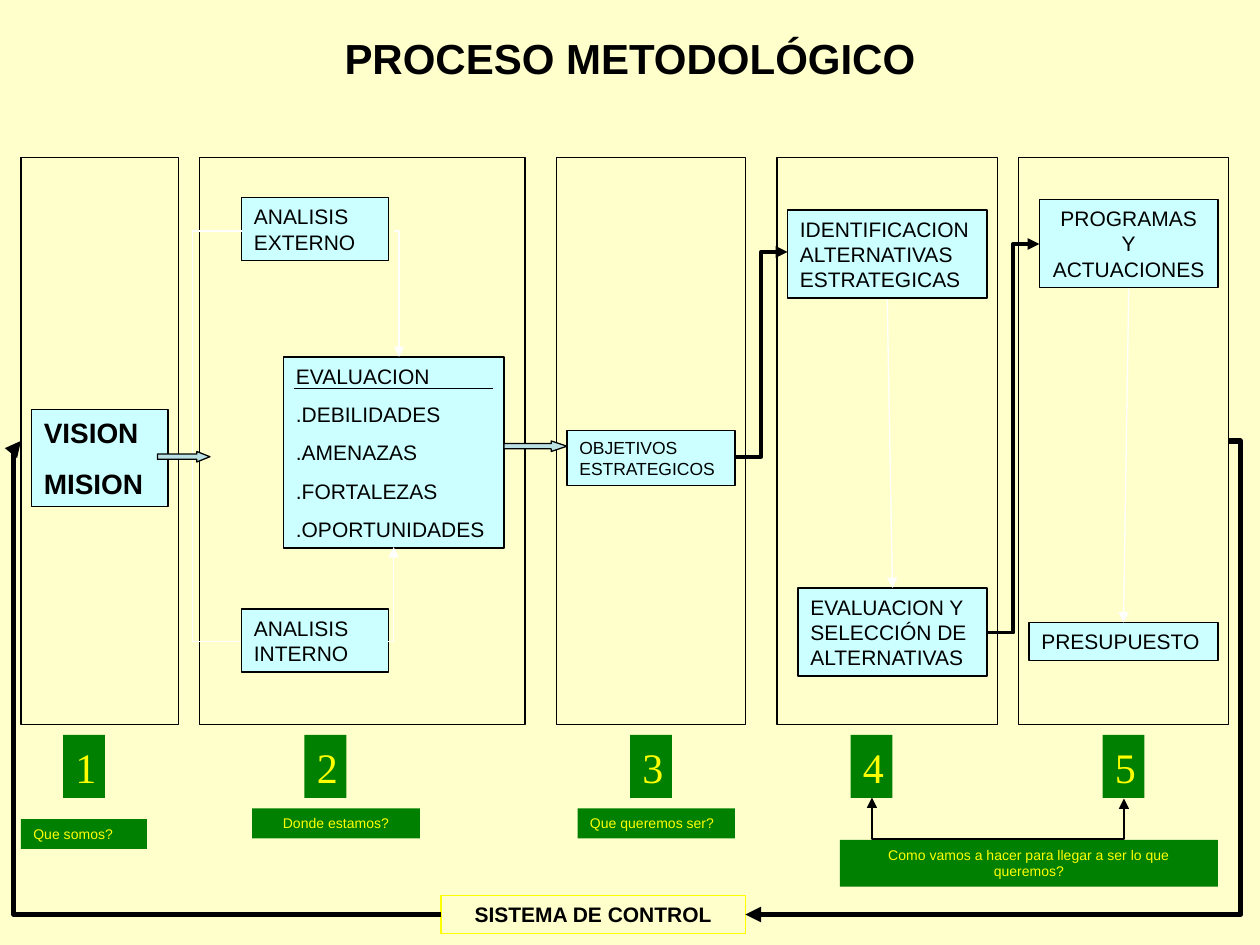
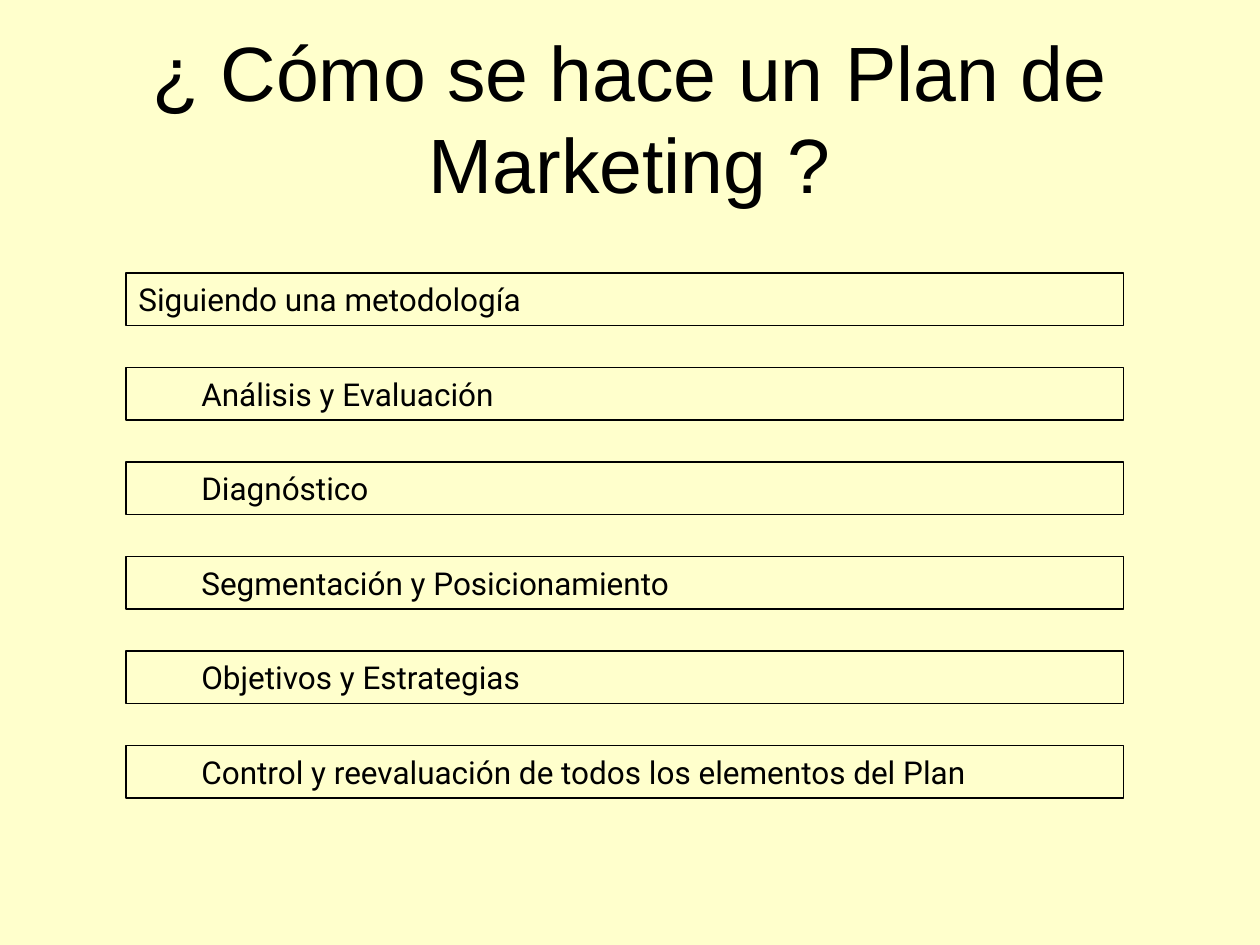
"""Build two slides on marketing planning: the process map and its steps."""
import dataclasses

import pptx
import pptx.dml.color
import pptx.enum.shapes
import pptx.enum.text
import pptx.oxml
import pptx.oxml.ns
import pptx.util


@dataclasses.dataclass(frozen=True)
class Theme:
    page: str = "FFFFCC"
    ink: str = "000000"
    pale: str = "CCFFFF"
    white: str = "FFFFFF"
    green: str = "008000"
    gold: str = "FFFF00"
    arrow: str = "BBE0E3"
    sans: str = "Arial"
    list: str = "Roboto"
    serif: str = "Times New Roman"
    tiny: int = 8
    small: int = 10
    body: int = 12
    lead: int = 16
    step: int = 18
    head: int = 24
    huge: int = 44
    thin: float = 0.75
    mid: float = 2.25
    thick: float = 3
    gap: float = 0.625


look = Theme()
Kind = pptx.enum.shapes.MSO_SHAPE
Link = pptx.enum.shapes.MSO_CONNECTOR
Align = pptx.enum.text.PP_ALIGN
Anchor = pptx.enum.text.MSO_ANCHOR
rgb = pptx.dml.color.RGBColor.from_string

deck = pptx.Presentation()
deck.slide_width = pptx.util.Inches(10)
deck.slide_height = pptx.util.Inches(7.5)
col = deck.slide_width / 120
row = deck.slide_height / 90
back = deck.slide_master.background.fill
back.solid()
back.fore_color.rgb = rgb(look.page)


def box(slide, area, text="", size=look.body, fill=None, line=None, ink=look.ink,
        font=look.sans, bold=False, align=Align.LEFT, anchor=Anchor.TOP,
        gap=look.gap, indent=0, kind=Kind.RECTANGLE):
    """Add a shape on the grid, with its text."""
    x, y, w, h = area
    shape = slide.shapes.add_shape(
        kind, round(x * col), round(y * row), round(w * col), round(h * row))
    shape.shadow.inherit = False
    if fill:
        shape.fill.solid()
        shape.fill.fore_color.rgb = rgb(fill)
    else:
        shape.fill.background()
    if line:
        shape.line.color.rgb = rgb(line)
        shape.line.width = pptx.util.Pt(look.thin)
    else:
        shape.line.fill.background()
    if text:
        frame = shape.text_frame
        frame.word_wrap = True
        frame.vertical_anchor = anchor
        frame.text = text
        for par in frame.paragraphs:
            par.alignment = align
            par.space_before = pptx.util.Pt(size * gap)
            par.font.name = font
            par.font.size = pptx.util.Pt(size)
            par.font.bold = bold
            par.font.color.rgb = rgb(ink)
            if indent:
                par._p.get_or_add_pPr().set("marL", str(round(indent * col)))
    return shape


def link(slide, start, end, color=look.ink, width=look.thin, bend=None,
         ends=("tailEnd",), turn=0):
    """Add a line; bend is a share of its width, or "corner" for one turn."""
    wire = slide.shapes.add_connector(
        Link.STRAIGHT if bend is None else Link.ELBOW,
        round(start[0] * col), round(start[1] * row),
        round(end[0] * col), round(end[1] * row))
    wire.line.color.rgb = rgb(color)
    wire.line.width = pptx.util.Pt(width)
    prop = wire._element.spPr
    geom = prop.find(pptx.oxml.ns.qn("a:prstGeom"))
    if bend == "corner":
        geom.set("prst", "bentConnector2")
    elif bend is not None:
        guide = geom.get_or_add_avLst().makeelement(pptx.oxml.ns.qn("a:gd"), {
            "name": "adj1", "fmla": f"val {round(bend * 100000)}"})
        geom.avLst.append(guide)
    if turn:
        prop.find(pptx.oxml.ns.qn("a:xfrm")).set("rot", str(turn * 60000))
    line = wire.line._get_or_add_ln()
    for tip in ends:
        line.append(line.makeelement(pptx.oxml.ns.qn(f"a:{tip}"), {"type": "triangle"}))
    prop.append(prop.makeelement(pptx.oxml.ns.qn("a:effectLst"), {}))


blank = deck.slide_layouts[6]
flow = deck.slides.add_slide(blank)
box(flow, (0, 1, 120, 9), "PROCESO METODOLÓGICO", look.head, bold=True,
    align=Align.CENTER, anchor=Anchor.MIDDLE, gap=0)

for x, w in ((2, 15), (19, 31), (53, 18), (74, 21), (97, 20)):
    box(flow, (x, 15, w, 54), line=look.ink)

factors = "EVALUACION\n.DEBILIDADES\n.AMENAZAS\n.FORTALEZAS\n.OPORTUNIDADES"
for area, text, size in (
    ((23, 18.84, 14, 6), "ANALISIS EXTERNO", look.body),
    ((23, 58, 14, 6), "ANALISIS INTERNO", look.body),
    ((27, 34, 21, 18.2), factors, look.body),
    ((3, 39, 13, 9.25), "VISION\nMISION", look.lead),
    ((54, 41, 16, 5.25), "OBJETIVOS ESTRATEGICOS", look.small),
    ((75, 20, 19, 8.4), "IDENTIFICACION ALTERNATIVAS ESTRATEGICAS", look.body),
    ((76, 56, 18, 8.4), "EVALUACION Y SELECCIÓN DE ALTERNATIVAS", look.body),
    ((99, 19, 17, 8.4), "PROGRAMAS\vY\vACTUACIONES", look.body),
    ((98, 59.3, 18, 3.6), "PRESUPUESTO", look.body),
):
    box(flow, area, text, size, look.pale, look.ink, bold=size == look.lead,
        align=Align.CENTER if "\v" in text else Align.LEFT)
box(flow, (42, 85.3, 29, 3.6), "SISTEMA DE CONTROL", line=look.gold, bold=True,
    align=Align.CENTER)

link(flow, (28, 37), (47, 37), ends=())
link(flow, (23.1, 22), (23, 61.1), look.white, bend=48, ends=())
link(flow, (37.5, 22), (38, 34), look.white, bend="corner")
link(flow, (37, 61.1), (37.5, 52.1), look.white, bend="corner")
link(flow, (107.5, 27.5), (107, 59.3), look.white)
link(flow, (84.5, 28.5), (85, 56), look.white)

for num, x in enumerate((6, 29, 60, 81, 105), 1):
    box(flow, (x, 70, 4, 6), str(num), look.head, look.green, ink=look.gold,
        font=look.serif)

link(flow, (70, 43.5), (75, 24), width=look.mid, bend=0.5)
link(flow, (94, 60.25), (99, 23.25), width=look.mid, bend=0.5)
for x, y, w in ((15, 43, 5), (48, 42, 6)):
    arrow = box(flow, (x, y, w, 1), fill=look.arrow, line=look.ink,
                kind=Kind.RIGHT_ARROW)
    arrow.adjustments[1] = w / 4

for area, text, align in (
    ((2, 78, 12, 2.85), "Que somos?", Align.LEFT),
    ((24, 77, 16, 2.85), "Donde estamos?", Align.CENTER),
    ((55, 77, 15, 2.85), "Que queremos ser?", Align.LEFT),
    ((80, 80, 36, 4.45), "Como vamos a hacer para llegar a ser lo que queremos?",
     Align.CENTER),
):
    box(flow, area, text, look.tiny, look.green, ink=look.gold, align=align)

link(flow, (95.1, 64), (95, 88), bend=40, ends=("headEnd", "tailEnd"), turn=270)
link(flow, (117, 42), (71, 87.1), width=look.thick, bend=-0.025)
link(flow, (42, 87.1), (2, 42), width=look.thick, bend=1.017)

plan = deck.slides.add_slide(blank)
box(plan, (6, 3.6, 108, 15), "¿ Cómo se hace un Plan de Marketing ?", look.huge,
    align=Align.CENTER, anchor=Anchor.MIDDLE, gap=0)
for num, text in enumerate((
    "Siguiendo una metodología",
    "Análisis y Evaluación",
    "Diagnóstico",
    "Segmentación y Posicionamiento",
    "Objetivos y Estrategias",
    "Control y reevaluación de todos los elementos del Plan",
)):
    box(plan, (12, 26 + 9 * num, 95, 5), text, look.step, line=look.ink,
        font=look.list, anchor=Anchor.MIDDLE, gap=0.25, indent=6 if num else 0)

deck.save("out.pptx")
